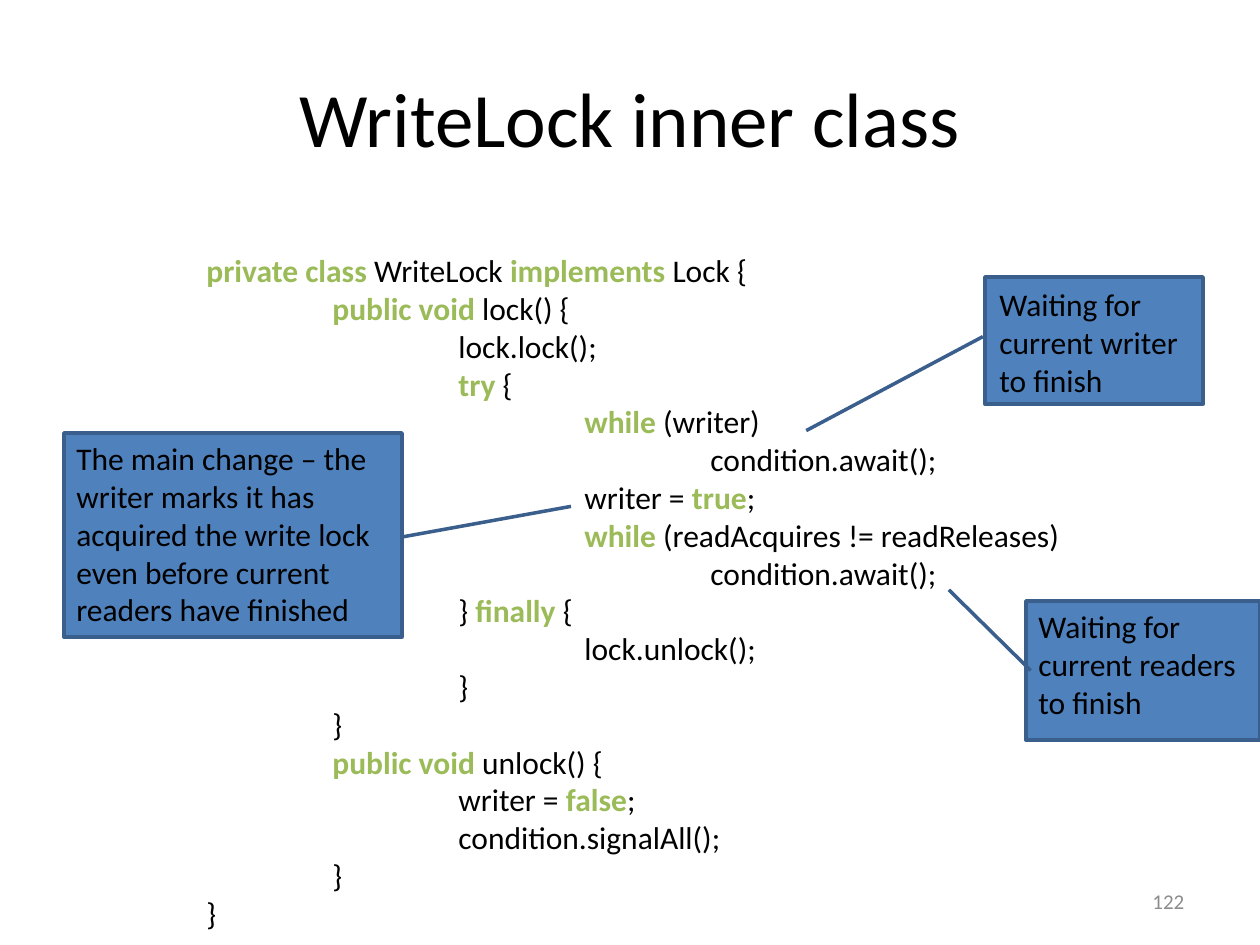
from copy import deepcopy

from lxml.etree import SubElement
from pptx import Presentation
from pptx.dml.color import RGBColor
from pptx.enum.shapes import MSO_SHAPE as Shape, PP_PLACEHOLDER as Holder
from pptx.enum.text import MSO_ANCHOR as Anchor, MSO_AUTO_SIZE as AutoSize, PP_ALIGN as Align
from pptx.oxml import parse_xml
from pptx.oxml.ns import nsdecls, qn
from pptx.util import Emu, Pt

COLORS = {"text": "000000", "keyword": "9BBB59", "box": "4F81BD", "edge": "3A5F8C", "number": "8C8C8C"}
PX = 914400 / 126
TAB = 126

CODE = [
    "*private class *WriteLock *implements* Lock {",
    "\t*public void* lock() {",
    "\t\tlock.lock();",
    "\t\t*try* {",
    "\t\t\t*while *(writer)",
    "\t\t\t\tcondition.await();",
    "\t\t\twriter = *true*;",
    "\t\t\t*while *(readAcquires != readReleases)",
    "\t\t\t\tcondition.await();",
    "\t\t} *finally* {",
    "\t\t\tlock.unlock();",
    "\t\t}",
    "\t}",
    "\t*public void* unlock() {",
    "\t\twriter = *false*;",
    "\t\tcondition.signalAll();",
    "\t}",
    "}",
]

CALLOUTS = [
    ("Waiting for current readers to finish",
     (1026, 601, 234, 139), (1026, 601, 234, 127), (0.5, 0.02, -0.08, -0.33)),
    ("Waiting for current writer to finish",
     (985, 277, 218, 127), (987, 279, 217, 127), (0.47, -0.01, 1.21, -0.82)),
    ("The main change – the writer marks it has acquired the write lock even before current readers have finished",
     (64, 433, 338, 204), (64, 433, 338, 204), (0.51, 1, 0.36, 1.5)),
]


def color(key):
    return RGBColor.from_string(COLORS[key])


def emu(box):
    return [Emu(round(length * PX)) for length in box]


class CodeSlide:
    """Holds the slide and the style shared by its elements."""

    font = "Calibri"

    def __init__(self, deck):
        self.slide = deck.slides.add_slide(deck.slide_layouts[5])

    def style(self, paragraph, size, tone="text", align=Align.LEFT):
        paragraph.alignment = align
        paragraph.font.name = self.font
        paragraph.font.size = Pt(size)
        paragraph.font.color.rgb = color(tone)

    def indent(self, paragraph, depth):
        stops = parse_xml(f"<a:tabLst {nsdecls('a')}/>")
        for position in emu(TAB * level for level in range(1, depth + 1)):
            SubElement(stops, qn("a:tab"), pos=str(position), algn="l")
        paragraph._p.get_or_add_pPr().insert(0, stops)

    def place(self, holder, box, text, size, tone, align):
        holder.left, holder.top, holder.width, holder.height = emu(box)
        holder.text_frame.text = text
        holder.text_frame.vertical_anchor = Anchor.MIDDLE
        self.style(holder.text_frame.paragraphs[0], size, tone, align)

    def title(self, text, box):
        self.place(self.slide.shapes.title, box, text, 44, "text", Align.CENTER)

    def number(self, text, box):
        source = next(holder for holder in self.slide.slide_layout.placeholders
                      if holder.placeholder_format.type == Holder.SLIDE_NUMBER)
        self.slide.shapes._spTree.append(deepcopy(source.element))
        self.place(self.slide.shapes[-1], box, text, 12, "number", Align.RIGHT)

    def text(self, lines, box):
        frame = self.slide.shapes.add_textbox(*emu(box)).text_frame
        frame.word_wrap = True
        frame.auto_size = AutoSize.SHAPE_TO_FIT_TEXT
        for row, line in enumerate(lines):
            paragraph = frame.add_paragraph() if row else frame.paragraphs[0]
            self.style(paragraph, 18)
            depth = line.count("\t")
            if depth:
                self.indent(paragraph, depth)
            for part, words in enumerate(line.split("*")):
                if words:
                    run = paragraph.add_run()
                    run.text = words
                    if part % 2:
                        run.font.bold = True
                        run.font.color.rgb = color("keyword")

    def callout(self, text, box, text_box, pointer):
        callout = self.slide.shapes.add_shape(Shape.LINE_CALLOUT_1, *emu(box))
        callout.shadow.inherit = False
        callout.fill.solid()
        callout.fill.fore_color.rgb = color("box")
        callout.line.color.rgb = color("edge")
        callout.line.width = Pt(2)
        for index, value in enumerate(pointer):
            callout.adjustments[index] = value
        self.text([text], text_box)


def main():
    deck = Presentation()
    deck.slide_width, deck.slide_height = emu((1260, 945))
    page = CodeSlide(deck)
    page.title("WriteLock inner class", (63, 38, 1134, 158))
    page.number("122", (903, 876, 294, 50))
    page.text(CODE, (194, 245, 1042, 699))
    for callout in CALLOUTS:
        page.callout(*callout)
    deck.save("out.pptx")


if __name__ == "__main__":
    main()
